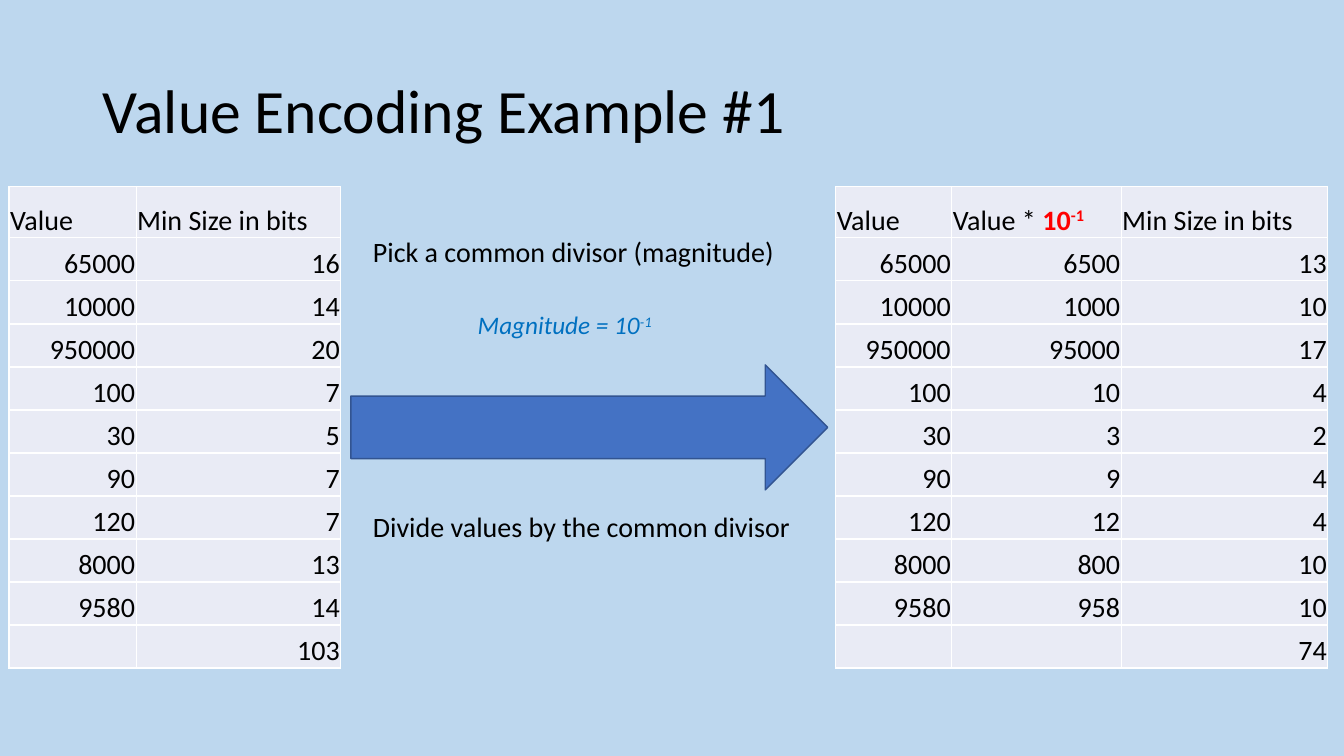
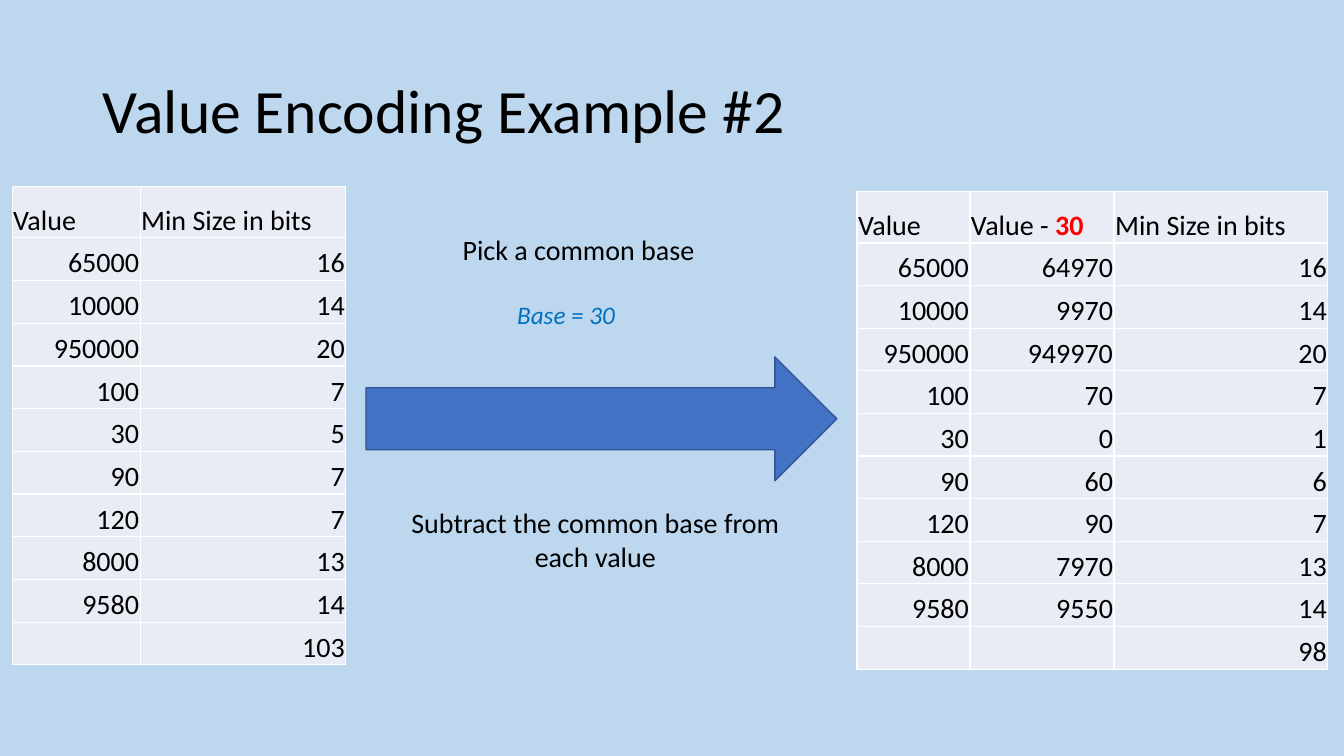
from pptx import Presentation
from pptx.dml.color import RGBColor
from pptx.enum.shapes import MSO_SHAPE
from pptx.enum.text import MSO_ANCHOR, PP_ALIGN
from pptx.util import Inches, Pt

FONT = "Calibri"
COLORS = {
    "background": "BDD7EE",
    "text": "000000",
    "accent": "FF0000",
    "parameter": "0070C0",
    "cell": "E9EBF5",
    "arrow": "4472C4",
    "arrow_line": "325491",
}
HEADER_HEIGHT = 0.51
CELL_MARGIN = 0.01

VALUES = [65000, 10000, 950000, 100, 30, 90, 120, 8000, 9580]
BITS = [16, 14, 20, 7, 5, 7, 7, 13, 14]

# A text is a list of paragraphs, a paragraph a list of (text, style) runs.
# Tables are placed by (left, top, height) and column widths.
EXAMPLES = [
    {
        "title": "Value Encoding Example #1",
        "before": {"place": (0.09, 1.85, 4.78), "widths": (1.26, 2.03)},
        "after": {"place": (8.29, 1.85, 4.78), "widths": (1.15, 1.68, 2.05)},
        "header": [("Value * ", ""), ("10", "accent"), ("-1", "accent super")],
        "encoded": [value // 10 for value in VALUES],
        "bits": [13, 10, 17, 4, 2, 4, 4, 10, 10],
        "arrow": (3.48, 3.62, 4.73, 1.24),
        "pick": ((3.6, 2.28, 4.92, 0.44), [[("Pick a common divisor (magnitude)", "")]]),
        "parameter": ((4.64, 3.02, 2.03, 0.4), [[("Magnitude = 10", ""), ("-1", "super")]]),
        "apply": ((3.6, 5.01, 5.06, 0.44), [[("Divide values by the common divisor", "")]]),
        "apply_align": PP_ALIGN.LEFT,
    },
    {
        "title": "Value Encoding Example #2",
        "before": {"place": (0.12, 1.85, 4.75), "widths": (1.27, 2.04)},
        "after": {"place": (8.5, 1.9, 4.74), "widths": (1.12, 1.43, 2.12)},
        "header": [("Value - ", ""), ("30", "accent")],
        "encoded": [value - 30 for value in VALUES],
        "bits": [16, 14, 20, 7, 1, 6, 7, 13, 14],
        "arrow": (3.63, 3.54, 4.67, 1.23),
        "pick": ((4.49, 2.26, 2.97, 0.44), [[("Pick a common base", "")]]),
        "parameter": ((5.03, 2.92, 1.18, 0.4), [[("Base = 30", "")]]),
        "apply": (
            (3.63, 4.97, 4.55, 0.77),
            [[("Subtract the common base from", "")], [("each value", "")]],
        ),
        "apply_align": PP_ALIGN.CENTER,
    },
]


def color(name):
    return RGBColor.from_string(COLORS[name])


def inches(lengths):
    return [Inches(length) for length in lengths]


def write_paragraph(paragraph, runs, size=20, ink="text", align=PP_ALIGN.LEFT):
    paragraph.alignment = align
    font = paragraph.font
    font.name, font.size = FONT, Pt(size)
    font.color.rgb = color(ink)
    for text, style in runs:
        run = paragraph.add_run()
        run.text = text
        if "accent" in style:
            run.font.bold = True
            run.font.color.rgb = color("accent")
        if "super" in style:
            run._r.get_or_add_rPr().set("baseline", "30000")


def add_text(slide, place, paragraphs, wrap=True, italic=None, **style):
    frame = slide.shapes.add_textbox(*inches(place)).text_frame
    frame.word_wrap = wrap
    for index, runs in enumerate(paragraphs):
        paragraph = frame.add_paragraph() if index else frame.paragraphs[0]
        write_paragraph(paragraph, runs, **style)
        paragraph.font.italic = italic


def add_value_table(slide, layout, headers, columns):
    """Add a table whose last row holds only the total of the last column."""
    left, top, height = layout["place"]
    widths = layout["widths"]
    totals = [""] * (len(columns) - 1) + [sum(columns[-1])]
    body = [[[(str(item), "")] if item != "" else [] for item in row]
            for row in [*zip(*columns), totals]]
    rows = [headers, *body]
    table = slide.shapes.add_table(
        len(rows), len(widths), *inches((left, top, sum(widths), height))
    ).table
    table.first_row = table.horz_banding = False
    for column, width in zip(table.columns, widths):
        column.width = Inches(width)
    for index, row in enumerate(rows):
        body_height = (height - HEADER_HEIGHT) / len(body)
        table.rows[index].height = Inches(body_height if index else HEADER_HEIGHT)
        for column_index, runs in enumerate(row):
            cell = table.cell(index, column_index)
            cell.fill.solid()
            cell.fill.fore_color.rgb = color("cell")
            cell.vertical_anchor = MSO_ANCHOR.BOTTOM
            cell.margin_left = cell.margin_right = cell.margin_top = Inches(CELL_MARGIN)
            cell.margin_bottom = 0
            write_paragraph(cell.text_frame.paragraphs[0], runs,
                            align=PP_ALIGN.RIGHT if index else PP_ALIGN.LEFT)


def add_arrow(slide, place):
    arrow = slide.shapes.add_shape(MSO_SHAPE.RIGHT_ARROW, *inches(place))
    arrow.shadow.inherit = False
    arrow.fill.solid()
    arrow.fill.fore_color.rgb = color("arrow")
    arrow.line.color.rgb = color("arrow_line")
    arrow.line.width = Pt(1)


def add_example(presentation, layout, example):
    slide = presentation.slides.add_slide(layout)
    title = slide.shapes.title.text_frame.paragraphs[0]
    write_paragraph(title, [(example["title"], "")], size=44)
    title.line_spacing = 0.9

    add_arrow(slide, example["arrow"])
    add_text(slide, *example["pick"])
    value, bits = [("Value", "")], [("Min Size in bits", "")]
    add_value_table(slide, example["before"], [value, bits], [VALUES, BITS])
    add_value_table(slide, example["after"], [value, example["header"], bits],
                    [VALUES, example["encoded"], example["bits"]])
    add_text(slide, *example["apply"], align=example["apply_align"])
    add_text(slide, *example["parameter"], wrap=False, italic=True,
             size=18, ink="parameter")


def main():
    presentation = Presentation()
    presentation.slide_width, presentation.slide_height = inches((13.33, 7.5))
    background = presentation.slide_master.background.fill
    background.solid()
    background.fore_color.rgb = color("background")

    layout = presentation.slide_layouts.get_by_name("Title Only")
    title = layout.placeholders[0]
    title.left, title.top, title.width, title.height = inches((0.92, 0.4, 11.5, 1.45))
    title.text_frame.vertical_anchor = MSO_ANCHOR.MIDDLE

    for example in EXAMPLES:
        add_example(presentation, layout, example)
    presentation.save("out.pptx")


if __name__ == "__main__":
    main()
